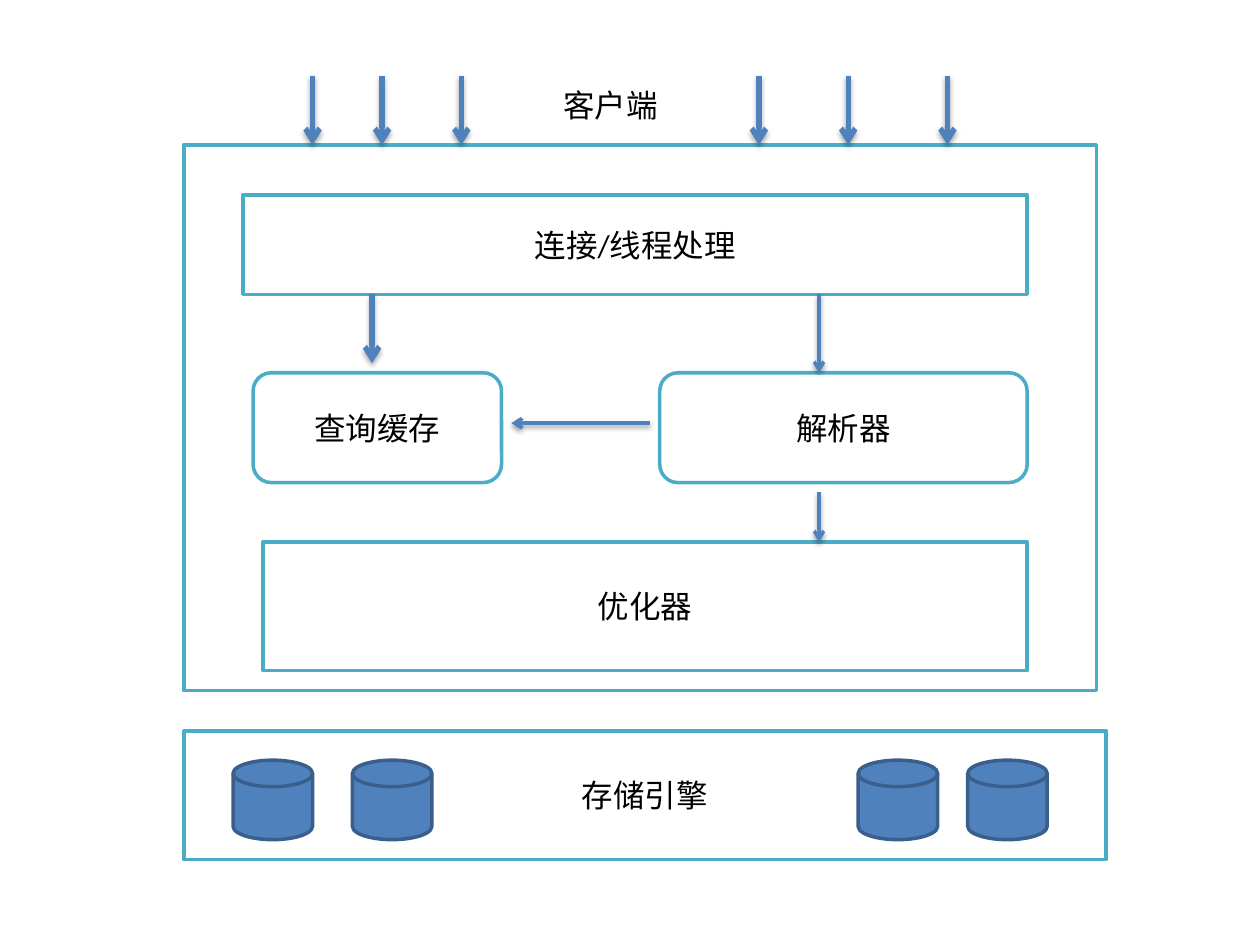
from dataclasses import dataclass

from lxml import etree
from pptx import Presentation
from pptx import util as u
from pptx.dml import color
from pptx.enum import shapes, text
from pptx.oxml import ns

Pt = u.Pt
Kind = shapes.MSO_SHAPE


@dataclass(frozen=True)
class Theme:
    font: str = "Calibri"
    size: int = 18
    ink: str = "000000"
    paper: str = "FFFFFF"
    frame: str = "4BACC6"
    accent: str = "4F81BD"
    accent_edge: str = "3A5F8C"
    shadow: str = "000000"
    thin: int = 2
    thick: int = 3


theme = Theme()


def write(box, words, *, size=theme.size, ink=theme.ink, font=theme.font):
    frame = box.text_frame
    frame.word_wrap = True
    frame.vertical_anchor = text.MSO_ANCHOR.MIDDLE
    para = frame.paragraphs[0]
    para.alignment = text.PP_ALIGN.CENTER
    span = para.add_run()
    span.text = words
    span.font.name = font
    span.font.size = Pt(size)
    span.font.color.rgb = color.RGBColor.from_string(ink)


def add_block(kind, left, top, width, height, fill, edge):
    box = page.shapes.add_shape(kind, Pt(left), Pt(top), Pt(width), Pt(height))
    box.shadow.inherit = False
    box.fill.solid()
    box.fill.fore_color.rgb = color.RGBColor.from_string(fill)
    if edge:
        box.line.color.rgb = color.RGBColor.from_string(edge)
        box.line.width = Pt(theme.thin)
    else:
        box.line.fill.background()
    return box


deck = Presentation()
deck.slide_width, deck.slide_height = Pt(720), Pt(540)
page = deck.slides.add_slide(deck.slide_layouts[6])

server_left, server_top = 105, 82.8
inner_right = 587
client_top = 43.2
parser_x = 468
row_top, row_height = 213, 62.8

blocks = [
    ("存储引擎", Kind.RECTANGLE, server_left, 417.6, 527, 73.6, theme.frame),
    ("", Kind.RECTANGLE, server_left, server_top, 521.5, 311.8, theme.frame),
    ("连接/线程处理", Kind.RECTANGLE, 139, 111.3, inner_right - 139, 56.9, theme.frame),
    ("查询缓存", Kind.ROUNDED_RECTANGLE, 144.6, row_top, 142, row_height, theme.frame),
    ("解析器", Kind.ROUNDED_RECTANGLE, 377, row_top, inner_right - 377, row_height, theme.frame),
    ("优化器", Kind.RECTANGLE, 150.4, 309.7, inner_right - 150.4, 73.6, theme.frame),
    ("客户端", Kind.RECTANGLE, 286.6, client_top, 124.6, 33.8, None),
]
for words, kind, left, top, width, height, edge in blocks:
    box = add_block(kind, left, top, width, height, theme.paper, edge)
    if words:
        write(box, words)

for left in (133.2, 201.4, 490.4, 553):
    add_block(Kind.FLOWCHART_MAGNETIC_DISK, left, 434.4, 45.4, 45.4,
              theme.accent, theme.accent_edge)

arrows = [
    (212.6, 168, 212.6, 207.5, theme.thick),
    (parser_x, 168, parser_x, row_top, theme.thin),
    (371.4, 241.8, 292.2, 241.8, theme.thin),
    (parser_x, 281.4, parser_x, 309.7, theme.thin),
] + [
    (x, client_top, x, server_top, theme.thick)
    for x in (178.6, 218.3, 263.6, 433.7, 484.7, 541.4)
]
for x1, y1, x2, y2, weight in arrows:
    arrow = page.shapes.add_connector(
        shapes.MSO_CONNECTOR.STRAIGHT, Pt(x1), Pt(y1), Pt(x2), Pt(y2))
    arrow.line.color.rgb = color.RGBColor.from_string(theme.accent)
    arrow.line.width = Pt(weight)
    properties = arrow.element.spPr
    outline = properties.find(ns.qn("a:ln"))
    etree.SubElement(outline, ns.qn("a:tailEnd"), type="arrow")
    distance, opacity = (1.8, 35) if weight == theme.thick else (1.6, 38)
    effects = etree.SubElement(properties, ns.qn("a:effectLst"))
    shade = etree.SubElement(
        effects, ns.qn("a:outerShdw"), blurRad=str(Pt(3.1)), dist=str(Pt(distance)),
        dir="5400000", rotWithShape="0")
    tint = etree.SubElement(shade, ns.qn("a:srgbClr"), val=theme.shadow)
    etree.SubElement(tint, ns.qn("a:alpha"), val=str(opacity * 1000))

deck.save("out.pptx")
